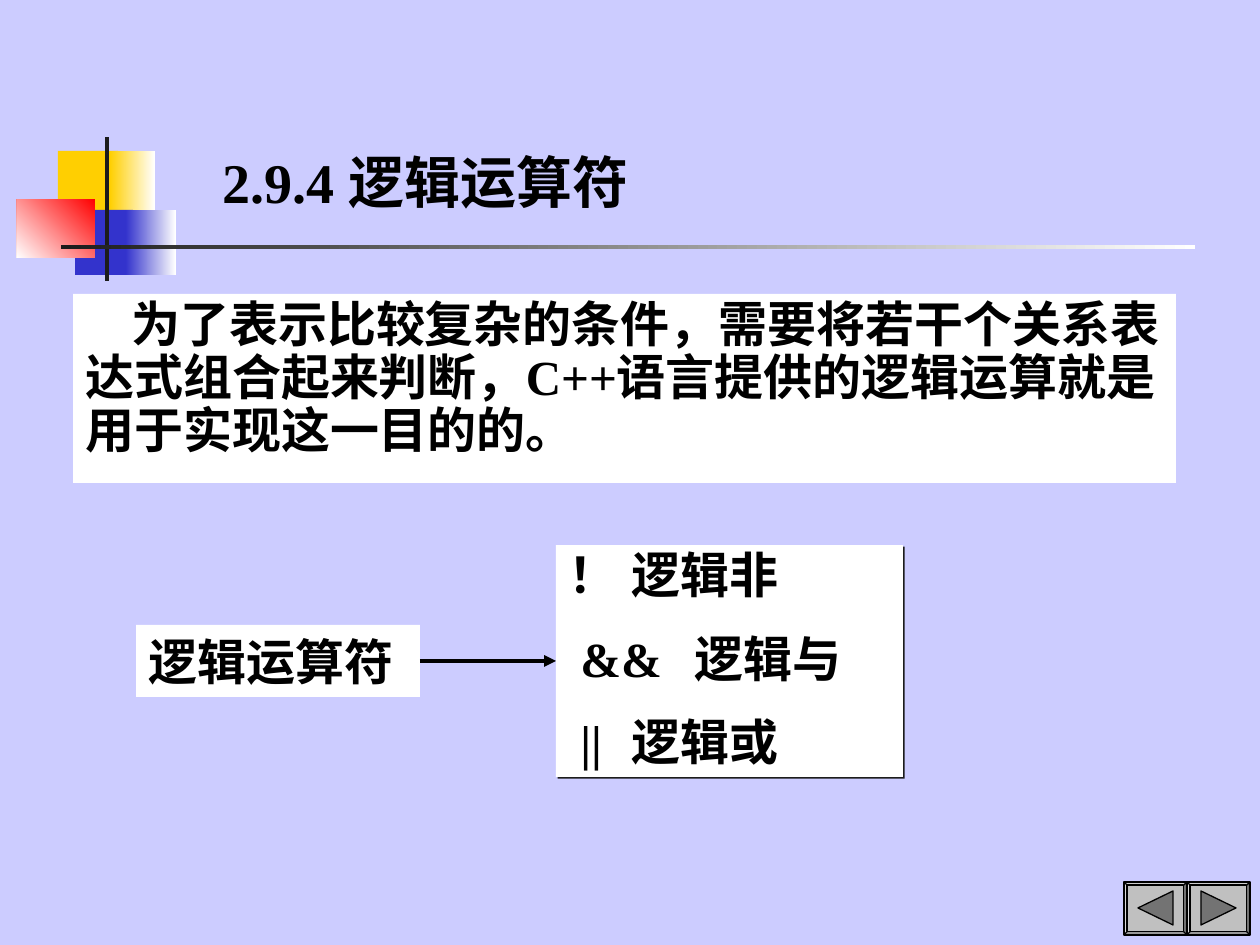
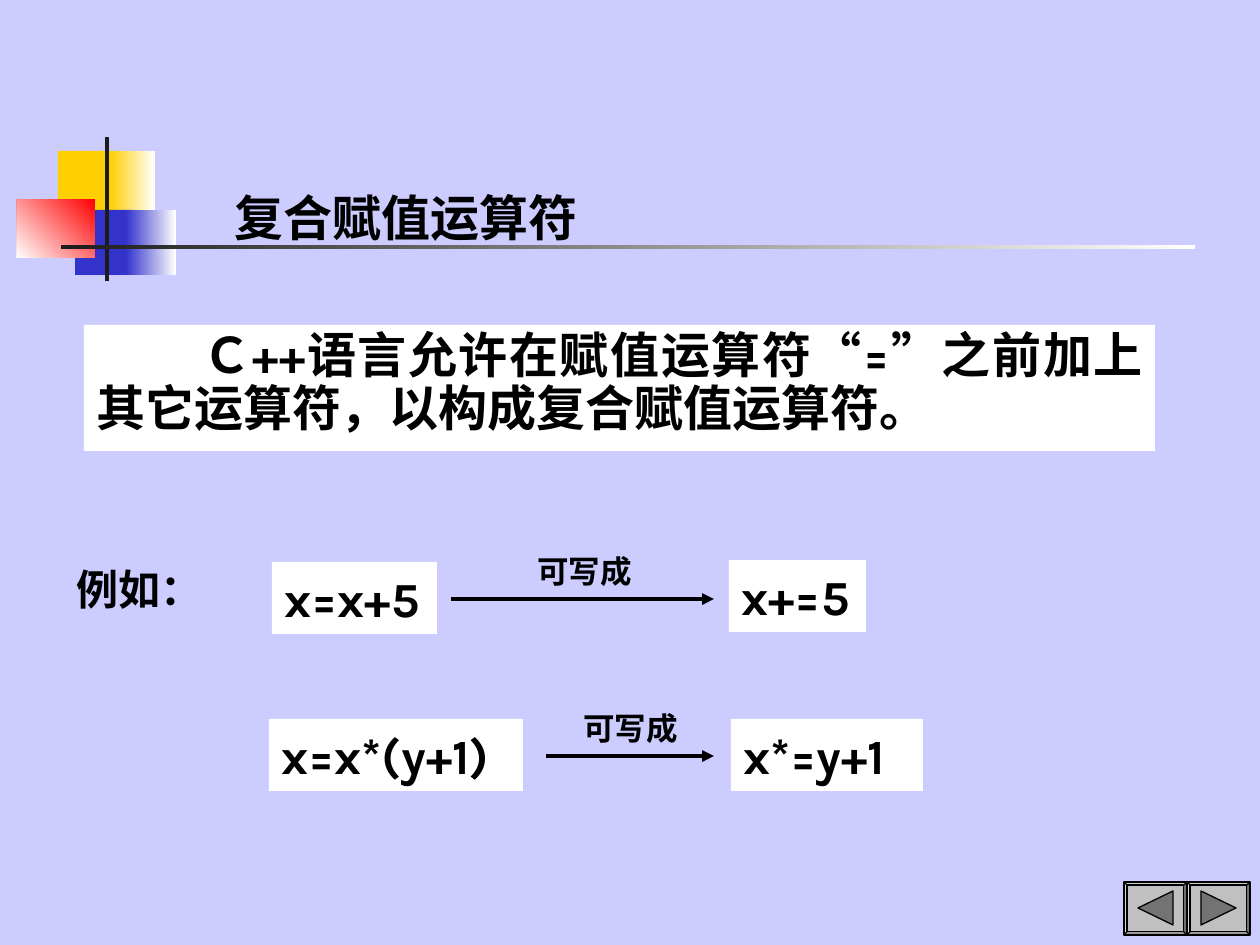
from lxml import etree
from pptx import Presentation
from pptx.dml.color import RGBColor
from pptx.enum.shapes import MSO_CONNECTOR, MSO_SHAPE
from pptx.enum.text import MSO_ANCHOR, MSO_AUTO_SIZE, PP_ALIGN
from pptx.oxml.ns import qn
from pptx.util import Pt

RECT = MSO_SHAPE.RECTANGLE
BEVEL = MSO_SHAPE.BEVEL
LINE = MSO_CONNECTOR.STRAIGHT
LEFT, JUST = PP_ALIGN.LEFT, PP_ALIGN.JUSTIFY
TOP, BOTTOM = MSO_ANCHOR.TOP, MSO_ANCHOR.BOTTOM
SCALE = 914400 / 126
HUES = {
    "back": "CCCCFF", "white": "FFFFFF", "black": "000000", "ink": "1C1C1C",
    "gold": "FFCF01", "blue": "3333CC", "red": "FF0000",
    "grey": "C0C0C0", "dark": "737373",
}
HAN, ROMAN, SANS = "Noto Sans CJK SC", "Times New Roman", "Karla"
FRAME = {
    "auto_size": MSO_AUTO_SIZE.NONE, "word_wrap": True,
    "margin_left": Pt(7.2), "margin_right": Pt(7.2),
    "margin_top": Pt(3.6), "margin_bottom": Pt(3.6),
}
TIGHT = {"line_spacing": 0.9}


def px(size):
    return round(size * SCALE)


def hue(name):
    return RGBColor.from_string(HUES[name])


def apply(target, form):
    for key, value in form.items():
        setattr(target, key, value)


def node(parent, tag, **attrs):
    return etree.SubElement(parent, qn(tag), attrs)


def write(shape, rows, size, anchor=TOP):
    frame = shape.text_frame
    apply(frame, {**FRAME, "vertical_anchor": anchor})
    for i, (runs, form, indent, tab) in enumerate(rows):
        para = frame.add_paragraph() if i else frame.paragraphs[0]
        props = para._p.get_or_add_pPr()
        props.set("indent", str(px(indent)))
        props.set("marL", "0")
        if tab:
            node(node(props, "a:tabLst"), "a:tab", pos=str(px(tab)), algn="l")
        apply(para, {"alignment": LEFT, **form})
        for text, face in runs:
            run = para.add_run()
            run.text = text
            apply(run.font, {"size": Pt(size), "bold": True, "name": face})
            run.font.color.rgb = hue("black")
            node(run._r.get_or_add_rPr(), "a:ea", typeface=HAN)


def line(runs, form={}, indent=0, tab=0):
    return runs, form, indent, tab


def title(slide, box, runs, size, indent=0):
    head = slide.shapes.title
    apply(head, dict(zip(("left", "top", "width", "height"), map(px, box))))
    write(head, [line(runs, indent=indent)], size, BOTTOM)


def block(slide, box, fill, kind=RECT):
    shape = slide.shapes.add_shape(kind, *map(px, box))
    shape.shadow.inherit = False
    shape.fill.solid()
    shape.fill.fore_color.rgb = hue(fill)
    shape.line.fill.background()
    return shape


def fade(slide, box, start, end, angle=0):
    fill = block(slide, box, start).fill
    fill.gradient()
    fill.gradient_angle = angle
    for stop, name in zip(fill.gradient_stops, (start, end)):
        stop.color.rgb = hue(name)


def panel(slide, box, rows, size=28):
    shape = block(slide, box, "white")
    write(shape, rows, size)
    return shape


def label(slide, box, text, size):
    shape = slide.shapes.add_textbox(*map(px, box))
    write(shape, [line([(text, ROMAN)])], size)


def arrow(slide, start, end):
    link = slide.shapes.add_connector(LINE, *map(px, start + end))
    link.line.width = Pt(2.25)
    link.line.color.rgb = hue("black")
    node(link.line._get_or_add_ln(), "a:tailEnd", type="triangle")
    node(link._element.spPr, "a:effectLst")
    return link


def edge(shape):
    shape.line.color.rgb = hue("black")
    shape.line.width = Pt(0.75)


def button(slide, left, flip):
    base = block(slide, (left, 882, 63, 53), "grey", BEVEL)
    base.adjustments[0] = 0.06
    edge(base)
    tip, back = (left + 14, left + 49) if flip else (left + 49, left + 14)
    path = slide.shapes.build_freeform(px(tip), px(908))
    path.add_line_segments([(px(back), px(y)) for y in (891, 925)])
    mark = path.convert_to_shape()
    mark.shadow.inherit = False
    mark.fill.solid()
    mark.fill.fore_color.rgb = hue("dark")
    edge(mark)


def decor(slide):
    block(slide, (58, 151, 60, 66), "gold")
    fade(slide, (110, 151, 45, 66), "gold", "white")
    block(slide, (75, 210, 58, 65), "blue")
    fade(slide, (126, 210, 50, 65), "blue", "white")
    fade(slide, (17, 199, 78, 59), "red", "white", 225)
    block(slide, (105, 137, 4, 144), "ink")
    fade(slide, (61, 245, 1134, 4), "ink", "white")
    button(slide, 1187, False)
    button(slide, 1124, True)


def logic(slide):
    title(slide, (210, 147, 483, 74),
          [("2.9.4 ", ROMAN), ("逻辑运算符", HAN)], 32)
    panel(slide, (73, 294, 1103, 189), [line([
        ("为了表示比较复杂的条件，需要将若干个关系表达式组合起来判断，", HAN),
        ("C++", ROMAN),
        ("语言提供的逻辑运算就是用于实现这一目的的。", HAN),
    ], TIGHT, 46)])
    signs = [("！", HAN, "逻辑非", 0, 137), ("&&", ROMAN, "逻辑与", 12, 166),
             ("||", ROMAN, "逻辑或", 12, 166)]
    rows = []
    for i, (sign, face, name, indent, tab) in enumerate(signs):
        form = {**TIGHT, "space_before": Pt(17.5 if i else 0)}
        rows.append(line([(sign + "\t", face), (name, HAN)],
                         form, indent, tab))
    signs_box = panel(slide, (556, 545, 347, 232), rows)
    glow = node(signs_box._element.spPr.find(qn("a:effectLst")),
                "a:outerShdw", dist=str(Pt(1.4)), dir="2700000",
                algn="ctr", rotWithShape="0")
    node(glow, "a:srgbClr", val=HUES["ink"])
    name_box = panel(slide, (136, 625, 284, 72),
                     [line([("逻辑运算符", HAN)])])
    link = arrow(slide, (420, 661), (556, 661))
    link.begin_connect(name_box, 3)
    link.end_connect(signs_box, 1)


def assign(slide):
    title(slide, (210, 179, 462, 74), [("复合赋值运算符", SANS)], 28, 12)
    panel(slide, (84, 325, 1071, 126), [line([
        ("Ｃ", ROMAN), ("++", SANS), ("语言允许在赋值运算符“", ROMAN),
        ("=", SANS), ("”之前加上其它运算符，以构成复合赋值运算符。", ROMAN),
    ], {**TIGHT, "alignment": JUST}, 106)])
    label(slide, (64, 557, 156, 63), "例如：", 24)
    cells = [("x=x+5", (272, 562, 165, 72)), ("x+=5", (729, 560, 137, 72)),
             ("x=x*(y+1)", (269, 719, 254, 72)),
             ("x*=y+1", (731, 719, 192, 72))]
    for text, box in cells:
        panel(slide, box, [line([(text, SANS)])])
    for left, top, start, y in ((525, 546, 451, 599), (571, 703, 546, 756)):
        label(slide, (left, top, 122, 50), "可写成", 18)
        arrow(slide, (start, y), (714, y))


def main():
    deck = Presentation()
    deck.slide_width, deck.slide_height = px(1260), px(945)
    fill = deck.slide_master.background.fill
    fill.solid()
    fill.fore_color.rgb = hue("back")
    for draw in (logic, assign):
        slide = deck.slides.add_slide(deck.slide_layouts[5])
        decor(slide)
        draw(slide)
    deck.save("out.pptx")


if __name__ == "__main__":
    main()
